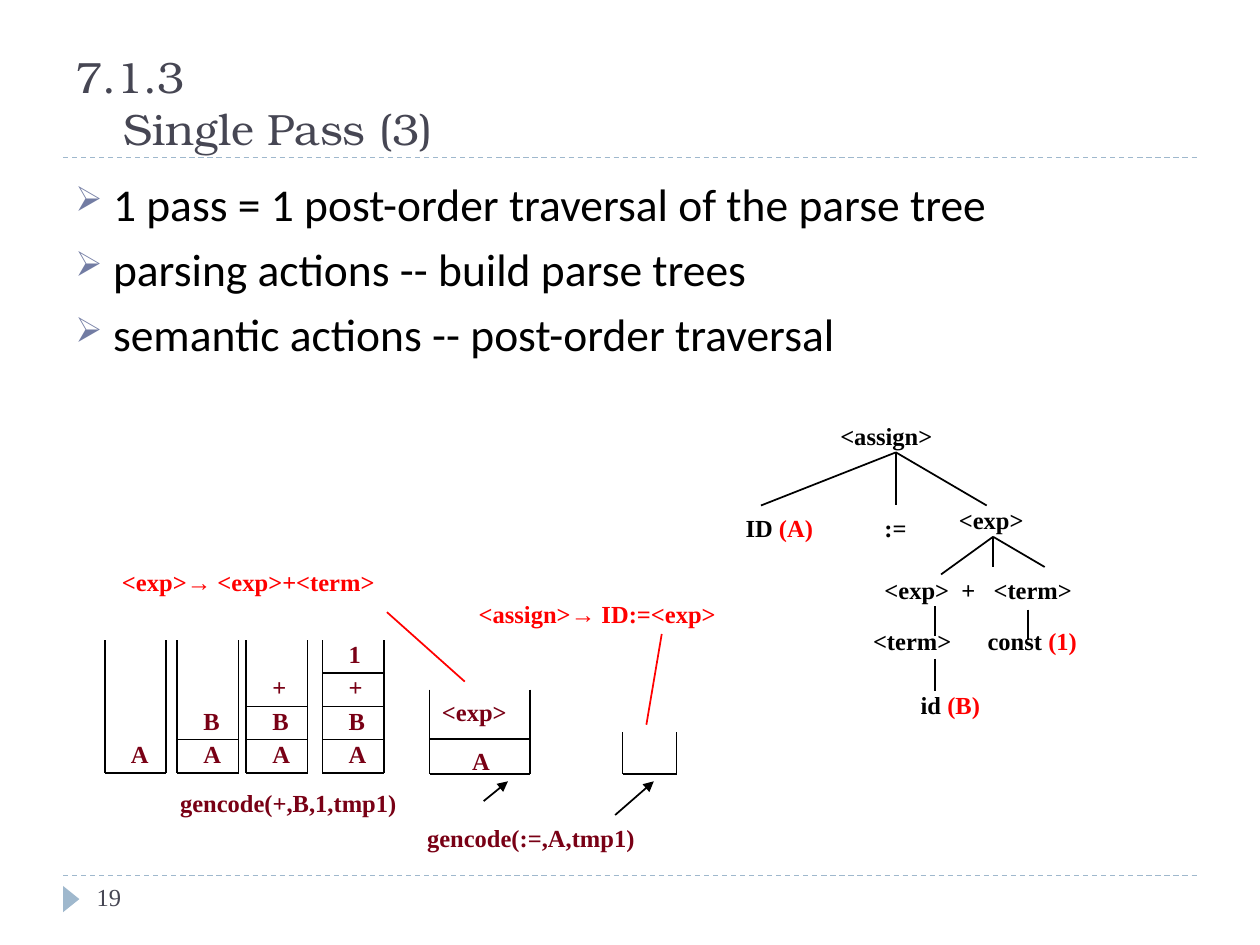
import pptx
import pptx.util
import pptx.dml.color
import pptx.enum.dml
import pptx.enum.shapes
import pptx.enum.text
import pptx.oxml.xmlchemy
from pptx.util import Cm

HUES = {"ink": "000000", "red": "FF0000", "wine": "790015",
        "slate": "464653", "pale": "9FB8CD", "mark": "727CA3"}
LABEL = {"name": "Times New Roman", "size": pptx.util.Pt(14), "bold": True}
PAGE = {**LABEL, "bold": False}
TITLE = {"name": "TeX Gyre Bonum", "size": pptx.util.Pt(25)}
BODY = {"name": "Calibri", "size": pptx.util.Pt(26)}
ARROW = {"name": "Arial"}
ROW = 0.84  # height of a label box


def color(key):
    return pptx.dml.color.RGBColor.from_string(HUES[key])


def apply(item, values):
    for name, value in values.items():
        setattr(item, name, value)


def add_xml(parent, tag, **attrs):
    node = pptx.oxml.xmlchemy.OxmlElement(tag)
    for name, value in attrs.items():
        node.set(name, str(value))
    parent.append(node)
    return node


def style(para, fmt, hue):
    for run in para.runs:
        apply(run.font, fmt)
        run.font.color.rgb = color(hue)


def hang(para, depth):
    props = para._p.get_or_add_pPr()
    props.set("marL", str(int(Cm(depth))))
    props.set("indent", str(int(Cm(-depth))))
    return props


def add_box(slide, x, y, w, h, **values):
    frame = slide.shapes.add_textbox(Cm(x), Cm(y), Cm(w), Cm(h)).text_frame
    apply(frame, {"word_wrap": True, **values})
    return frame


def add_label(slide, x, y, w, parts, hue="ink", tabs=()):
    """Parts are a string, or (text, hue, font values) tuples."""
    frame = add_box(slide, x, y, w, ROW, margin_right=0)
    para = frame.paragraphs[0]
    if tabs:
        stops = add_xml(para._p.get_or_add_pPr(), "a:tabLst")
        for stop in tabs:
            add_xml(stops, "a:tab", pos=int(Cm(stop)), algn="l")
    if isinstance(parts, str):
        parts = [(parts, hue, {})]
    for text, tint, extra in parts:
        run = para.add_run()
        run.text = text
        apply(run.font, {**LABEL, **extra})
        run.font.color.rgb = color(tint)


def add_line(slide, x1, y1, x2, y2, hue="ink", width=1, dash=False, head=False):
    line = slide.shapes.add_connector(
        pptx.enum.shapes.MSO_CONNECTOR.STRAIGHT, Cm(x1), Cm(y1), Cm(x2), Cm(y2))
    line.line.color.rgb = color(hue)
    line.line.width = pptx.util.Pt(width)
    if dash:
        line.line.dash_style = pptx.enum.dml.MSO_LINE.DASH
    if head:
        add_xml(line.line._get_or_add_ln(), "a:tailEnd", type="triangle")
    add_xml(line._element.spPr, "a:effectLst")


def add_stack(slide, x, base, w, h, rules=0, pitch=0.67):
    """Open-topped box with cell rules counted from its base."""
    for side in (x, x + w):
        add_line(slide, side, base - h, side, base)
    for level in range(rules + 1):
        y = base - level * pitch
        add_line(slide, x, y, x + w, y)


def add_frame(slide):
    for y in (3.18, 17.65):
        add_line(slide, 1.27, y, 24.13, y, "pale", 0.75, dash=True)
    mark = slide.shapes.add_shape(
        pptx.enum.shapes.MSO_SHAPE.ISOSCELES_TRIANGLE,
        Cm(1.17), Cm(17.96), Cm(0.53), Cm(0.33))
    mark.rotation = 90
    mark.shadow.inherit = False
    mark.fill.solid()
    mark.fill.fore_color.rgb = color("pale")
    mark.line.fill.background()
    page = add_box(slide, 1.7, 17.65, 5.51, 1.02).paragraphs[0]
    page.text = "19"
    style(page, PAGE, "slate")


def add_title(slide):
    frame = add_box(slide, 1.27, 0.43, 22.86, 2.74, margin_bottom=Cm(0.06),
                    vertical_anchor=pptx.enum.text.MSO_ANCHOR.BOTTOM)
    para = frame.paragraphs[0]
    para.text = "7.1.3\vSingle Pass (3)"
    hang(para, 0.97)
    style(para, TITLE, "slate")


def add_points(slide, lines):
    frame = add_box(slide, 1.27, 3.43, 22.86, 4.17)
    for i, text in enumerate(lines):
        para = frame.add_paragraph() if i else frame.paragraphs[0]
        para.text = text
        if i:
            para.space_before = pptx.util.Pt(6)
        props = hang(para, 0.76)
        add_xml(add_xml(props, "a:buClr"), "a:srgbClr", val=HUES["mark"])
        add_xml(props, "a:buSzPct", val=76000)
        add_xml(props, "a:buChar", char="➢")
        style(para, BODY, "ink")


def add_stacks(slide):
    # Stacks growing by one symbol, listed from base to top
    base = 15.58
    for x, items in ((2.11, "A"), (3.57, "AB"), (4.96, "AB+"), (6.5, "AB+1")):
        add_stack(slide, x, base, 1.24, 2.67, len(items) - 1)
        for level, item in enumerate(items):
            y = base - 0.81 - level * 0.67
            add_label(slide, x + 0.28, y, 0.86, item, "wine")
    # Stacks after each reduction
    add_stack(slide, 8.66, 15.6, 2.03, 1.7, 1, 0.71)
    add_stack(slide, 12.55, 15.6, 1.09, 0.84)
    for x, y, w, text in ((8.66, 13.92, 1.8, "<exp>"),
                          (9.27, 14.91, 0.86, "A"),
                          (3.38, 15.77, 4.88, "gencode(+,B,1,tmp1)"),
                          (8.36, 16.46, 4.7, "gencode(:=,A,tmp1)")):
        add_label(slide, x, y, w, text, "wine")
    # Grammar rules with their pointers
    for x, y, w, left, right in ((2.21, 11.3, 5.61, "<exp>", " <exp>+<term>"),
                                 (9.4, 11.96, 5.28, "<assign>", " ID:=<exp>")):
        add_label(slide, x, y, w, [(left, "red", {}), ("→", "red", ARROW),
                                   (right, "red", {})])
    for ends in ((7.8, 12.34, 9.37, 13.74), (13.34, 12.78, 13.03, 14.61)):
        add_line(slide, *ends, hue="red")
    for ends in ((9.75, 16.15, 10.24, 15.75), (12.4, 16.43, 13.18, 15.75)):
        add_line(slide, *ends, head=True)


def add_tree(slide):
    # Branches: each parent point with its child points
    for top, kids in (
            ((18.06, 9.12), ((15.34, 10.19), (18.06, 10.19), (19.89, 10.19))),
            ((20.02, 10.82), ((18.97, 11.58), (20.02, 11.43), (21.06, 11.43))),
            ((18.85, 12.22), ((18.85, 12.83),)),
            ((20.73, 12.29), ((20.73, 12.9),)),
            ((18.85, 13.28), ((18.85, 13.92),))):
        for kid in kids:
            add_line(slide, *top, *kid)
    # Nodes, with an optional red value and tab stops
    for x, y, w, text, value, tabs in (
            (16.69, 8.36, 2.36, "<assign>", "", ()),
            (14.78, 10.21, 1.85, "ID ", "(A)", ()),
            (17.58, 10.21, 0.94, ":=", "", ()),
            (19.08, 10.06, 1.8, "<exp>", "", ()),
            (17.58, 11.46, 4.29, "<exp>\t+\t<term>", "", (1.55, 2.2)),
            (17.35, 12.5, 6.48, "<term>\tconst ", "(1)", (2.31,)),
            (18.31, 13.79, 1.7, "id ", "(B)", ())):
        parts = [(text, "ink", {})]
        if value:
            parts.append((value, "red", {}))
        add_label(slide, x, y, w, parts, tabs=tabs)


def main():
    deck = pptx.Presentation()
    apply(deck, {"slide_width": Cm(25.4), "slide_height": Cm(19.05)})
    slide = deck.slides.add_slide(deck.slide_layouts[6])
    add_frame(slide)
    add_title(slide)
    add_points(slide, ("1 pass = 1 post-order traversal of the parse tree",
                       "parsing actions -- build parse trees",
                       "semantic actions -- post-order traversal"))
    add_stacks(slide)
    add_tree(slide)
    deck.save("out.pptx")


if __name__ == "__main__":
    main()
